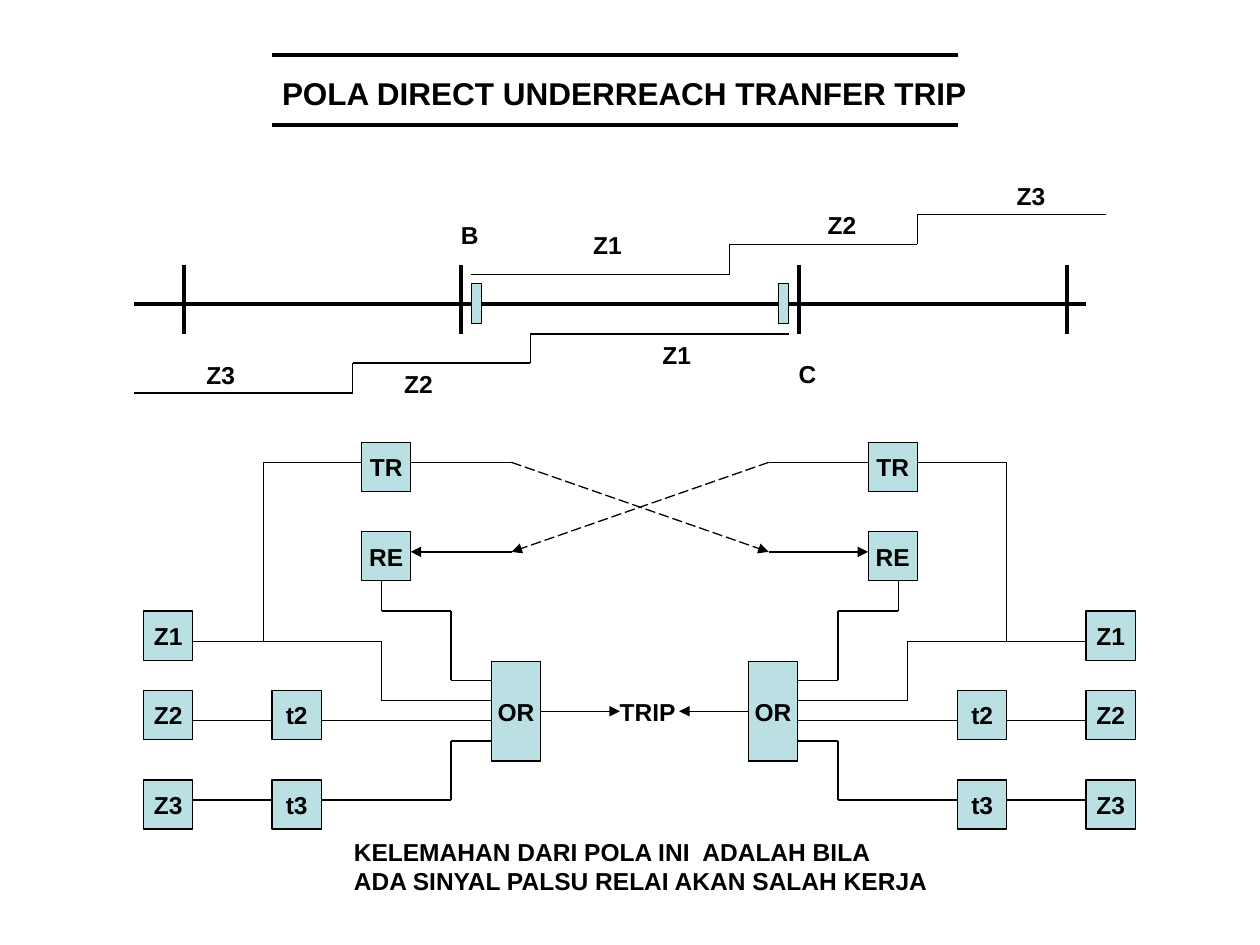
import dataclasses
import itertools
from typing import Optional

import pptx
import pptx.dml.color
import pptx.enum.dml
import pptx.enum.shapes
import pptx.enum.text
import pptx.oxml
import pptx.oxml.ns
import pptx.util

Inches = pptx.util.Inches
BLACK = pptx.dml.color.RGBColor(0x00, 0x00, 0x00)
PALE_TEAL = pptx.dml.color.RGBColor(0xBB, 0xE0, 0xE3)
FONT = "Arial"
THIN, THICK = 0.75, 2.25
BOX_SIZE = 0.39
GATE_TOP, GATE_HEIGHT = 5.25, 0.79
ZONE_TOPS = {"1": 4.85, "2": 5.48, "3": 6.19}
RELAY_TOPS = {"TR": 3.51, "RE": 4.22}
SEND_Y, RECEIVE_Y = 3.67, 4.38


@dataclasses.dataclass(frozen=True)
class Side:
    zone: float
    timer: float
    relay: float
    gate: float
    bend: float
    step: float
    drop: float
    riser: float
    link: float
    trip: float
    faces_right: bool

    def inner(self, left: float) -> float:
        return left + BOX_SIZE if self.faces_right else left

    def outer(self, left: float) -> float:
        return left if self.faces_right else left + BOX_SIZE


@dataclasses.dataclass(frozen=True)
class Label:
    text: str
    left: float
    top: float
    width: float = 0.43
    height: float = 0.34
    size: float = 14


LEFT_SIDE = Side(zone=1.14, timer=2.16, relay=2.87, gate=3.9, bend=3.58, step=3.03,
                 drop=3.03, riser=2.09, link=4.06, trip=4.92, faces_right=True)
RIGHT_SIDE = Side(zone=8.62, timer=7.6, relay=6.89, gate=5.94, bend=6.65, step=7.2,
                  drop=7.13, riser=7.99, link=6.1, trip=5.39, faces_right=False)

LABELS = [
    Label("POLA DIRECT UNDERREACH TRANFER TRIP", 2.14, 0.54, 5.66, 0.4, 18),
    Label("Z1", 4.61, 1.78),
    Label("Z2", 6.47, 1.62),
    Label("Z3", 7.97, 1.39),
    Label("Z1", 5.16, 2.65),
    Label("Z2", 3.11, 2.88),
    Label("Z3", 1.54, 2.81),
    Label("B", 3.56, 1.7, 0.35),
    Label("C", 6.24, 2.8, 0.35),
    Label("TRIP", 4.82, 5.48, 0.67),
    Label("KELEMAHAN DARI POLA INI  ADALAH BILA\nADA SINYAL PALSU RELAI AKAN SALAH KERJA",
          2.71, 6.59, 4.82, 0.57),
]


def write_text(frame, text: str, *, size: float = 14, bold: bool = True,
               align=pptx.enum.text.PP_ALIGN.LEFT,
               anchor=pptx.enum.text.MSO_ANCHOR.TOP) -> None:
    frame.word_wrap = False
    frame.vertical_anchor = anchor
    for index, line in enumerate(text.split("\n")):
        para = frame.add_paragraph() if index else frame.paragraphs[0]
        para.alignment = align
        span = para.add_run()
        span.text = line
        span.font.name = FONT
        span.font.size = pptx.util.Pt(size)
        span.font.bold = bold
        span.font.color.rgb = BLACK


def add_label(page, label: Label) -> None:
    box = page.shapes.add_textbox(Inches(label.left), Inches(label.top),
                                  Inches(label.width), Inches(label.height))
    write_text(box.text_frame, label.text, size=label.size)
    box.text_frame.auto_size = pptx.enum.text.MSO_AUTO_SIZE.SHAPE_TO_FIT_TEXT


def add_box(page, left: float, top: float, width: float = BOX_SIZE,
            height: float = BOX_SIZE, text: Optional[str] = None):
    box = page.shapes.add_shape(pptx.enum.shapes.MSO_SHAPE.RECTANGLE, Inches(left),
                                Inches(top), Inches(width), Inches(height))
    box.shadow.inherit = False
    box.fill.solid()
    box.fill.fore_color.rgb = PALE_TEAL
    box.line.color.rgb = BLACK
    box.line.width = pptx.util.Pt(THIN)
    if text:
        write_text(box.text_frame, text, align=pptx.enum.text.PP_ALIGN.CENTER,
                   anchor=pptx.enum.text.MSO_ANCHOR.MIDDLE)
    return box


def add_line(page, start: tuple, end: tuple, weight: float = THIN,
             arrow: bool = False, dashed: bool = False):
    line = page.shapes.add_connector(pptx.enum.shapes.MSO_CONNECTOR.STRAIGHT,
                                     *map(Inches, (*start, *end)))
    line.line.color.rgb = BLACK
    line.line.width = pptx.util.Pt(weight)
    if dashed:
        line.line.dash_style = pptx.enum.dml.MSO_LINE.LONG_DASH
    if arrow:
        head = pptx.oxml.parse_xml(f'<a:tailEnd {pptx.oxml.ns.nsdecls("a")} type="triangle"/>')
        line.line._get_or_add_ln().append(head)
    effects = pptx.oxml.parse_xml(f'<a:effectLst {pptx.oxml.ns.nsdecls("a")}/>')
    line._element.spPr.append(effects)
    return line


def add_route(page, *points: tuple) -> None:
    for start, end in itertools.pairwise(points):
        add_line(page, start, end)


def draw_power_line(page) -> None:
    for y in (0.44, 0.99):
        add_line(page, (2.16, y), (7.6, y), THICK)
    add_line(page, (1.06, 2.41), (8.62, 2.41), THICK)
    for x in (1.46, 3.66, 6.34, 8.47):
        add_line(page, (x, 2.1), (x, 2.65), THICK)
    for left in (3.74, 6.18):
        add_box(page, left, 2.25, 0.08, 0.32)
    add_route(page, (3.74, 2.18), (5.79, 2.18), (5.79, 1.94), (7.28, 1.94),
              (7.28, 1.7), (8.78, 1.7))
    add_route(page, (6.26, 2.65), (4.21, 2.65), (4.21, 2.88), (2.8, 2.88),
              (2.8, 3.12), (1.06, 3.12))


def draw_side(page, side: Side, other: Side) -> None:
    for number, top in ZONE_TOPS.items():
        add_box(page, side.zone, top, text=f"Z{number}")
        if number != "1":
            add_box(page, side.timer, top, text=f"t{number}")
    for name, top in RELAY_TOPS.items():
        add_box(page, side.relay, top, text=name)
    gate = add_box(page, side.gate, GATE_TOP, height=GATE_HEIGHT, text="OR")

    zone, timer, relay = map(side.inner, (side.zone, side.timer, side.relay))
    gate_input = side.outer(side.gate)
    for y in (5.72, 6.35):
        add_route(page, (zone, y), (side.outer(side.timer), y))
    add_route(page, (timer, 5.72), (gate_input, 5.72))
    add_route(page, (timer, 6.35), (side.bend, 6.35), (side.bend, 5.88), (gate_input, 5.88))
    add_route(page, (zone, 5.09), (side.step, 5.09), (side.step, 5.56), (gate_input, 5.56))
    add_route(page, (side.drop, 4.61), (side.drop, 4.85), (side.bend, 4.85),
              (side.bend, 5.4), (gate_input, 5.4))
    add_route(page, (side.outer(side.relay), SEND_Y), (side.riser, SEND_Y), (side.riser, 5.09))
    add_route(page, (relay, SEND_Y), (side.link, SEND_Y))
    add_line(page, (side.link, SEND_Y), (other.link, RECEIVE_Y), arrow=True, dashed=True)
    add_line(page, (side.link, RECEIVE_Y), (relay, RECEIVE_Y), arrow=True)

    middle = GATE_TOP + GATE_HEIGHT / 2
    trip = add_line(page, (side.inner(side.gate), middle), (side.trip, middle), arrow=True)
    trip.begin_connect(gate, 3 if side.faces_right else 1)


def main() -> None:
    deck = pptx.Presentation()
    deck.slide_width, deck.slide_height = Inches(10), Inches(7.5)
    page = deck.slides.add_slide(deck.slide_layouts[6])
    draw_power_line(page)
    draw_side(page, LEFT_SIDE, RIGHT_SIDE)
    draw_side(page, RIGHT_SIDE, LEFT_SIDE)
    for label in LABELS:
        add_label(page, label)
    deck.save("out.pptx")


if __name__ == "__main__":
    main()
